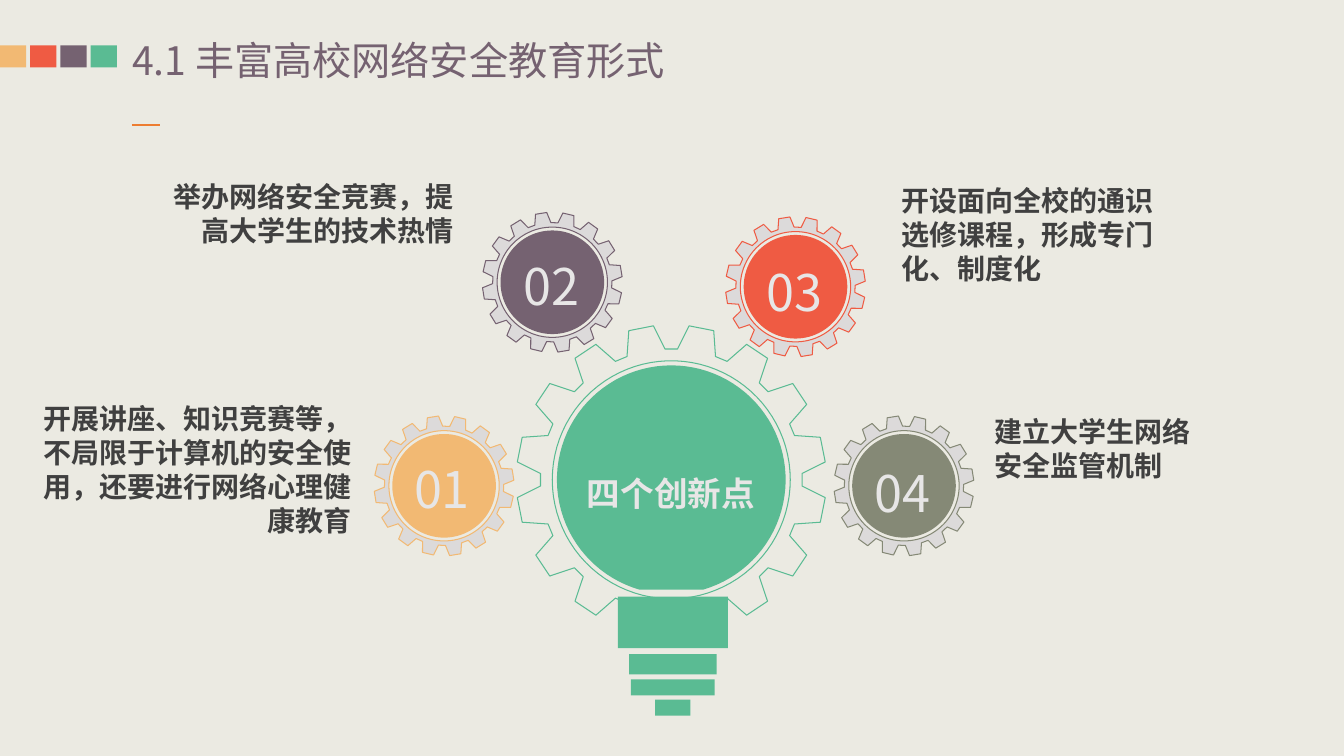
from dataclasses import dataclass
from math import asin, cos, pi, radians, sin

from lxml.etree import SubElement
from pptx import Presentation
from pptx.dml.color import RGBColor
from pptx.enum.shapes import MSO_CONNECTOR as Connector, MSO_SHAPE as Preset
from pptx.enum.text import MSO_ANCHOR as Anchor, MSO_AUTO_SIZE as AutoSize, PP_ALIGN as Align
from pptx.oxml.ns import qn
from pptx.util import Pt

CREAM = RGBColor(0xEB, 0xEA, 0xE2)
AMBER = RGBColor(0xF2, 0xB9, 0x73)
CORAL = RGBColor(0xEF, 0x5B, 0x43)
PLUM = RGBColor(0x75, 0x62, 0x71)
GREEN = RGBColor(0x5A, 0xBB, 0x93)
OLIVE = RGBColor(0x85, 0x89, 0x76)
ORANGE = RGBColor(0xED, 0x7D, 0x31)
SILVER = RGBColor(0xDC, 0xDA, 0xDA)
PALE = RGBColor(0xE7, 0xE6, 0xE6)
CHARCOAL = RGBColor(0x40, 0x40, 0x40)

FONT = "Noto Sans CJK SC"
LINE_RATIO = 1.21  # line pitch over text size
TOP_RATIO = 0.09  # extra top inset over text size
TEETH = 16

Point = tuple[float, float]


@dataclass(frozen=True)
class Box:
    left: float
    top: float
    width: float
    height: float

    def lengths(self) -> tuple[Pt, ...]:
        return Pt(self.left), Pt(self.top), Pt(self.width), Pt(self.height)

    def corners(self) -> list[Point]:
        right, bottom = self.left + self.width, self.top + self.height
        return [(self.left, self.top), (right, self.top), (right, bottom), (self.left, bottom)]


@dataclass(frozen=True)
class Gear:
    x: float
    y: float
    outer: float
    root: float
    bore: float
    phase: float  # degrees, middle of one tooth
    root_half: float  # degrees, half a tooth at its root


@dataclass(frozen=True)
class Step:
    number: str
    color: RGBColor
    x: float
    y: float
    number_left: float
    number_top: float
    caption: str
    caption_box: Box
    align: Align


@dataclass(frozen=True)
class TextStyle:
    size: float
    color: RGBColor
    align: Align = Align.LEFT
    bold: bool = False
    spacing: float = 1
    inset: float = 3.6
    wrap: bool = True


STEPS = [
    Step("01", AMBER, 317.2, 347, 287.3, 319.7,
         "开展讲座、知识竞赛等，不局限于计算机的安全使用，还要进行网络心理健康教育",
         Box(22.3, 281.5, 236.2, 104.4), Align.RIGHT),
    Step("02", PLUM, 394.5, 201.6, 365.8, 175,
         "举办网络安全竞赛，提高大学生的技术热情",
         Box(114.5, 122.4, 216.7, 55.4), Align.RIGHT),
    Step("03", CORAL, 568.2, 204.8, 539.3, 179.3,
         "开设面向全校的通识选修课程，形成专门化、制度化",
         Box(636.5, 125.3, 195.8, 79.9), Align.LEFT),
    Step("04", OLIVE, 645.7, 347, 616.3, 322.6,
         "建立大学生网络安全监管机制",
         Box(703.4, 290.2, 174.2, 55.4), Align.LEFT),
]
BULB_GEAR = Gear(479.5, 342.7, 110.7, 93.5, 85, 78.75, 8.5)
BULB_RADIUS, BULB_CUT = 81.7, 78.5
BULB_BASE = [
    Box(441.4, 426.2, 78.5, 36.8), Box(449.3, 467.3, 62.6, 14.4),
    Box(450.7, 485.3, 59.8, 11.5), Box(468, 499.7, 25.2, 11.5),
]


def on_circle(x: float, y: float, radius: float, angle: float) -> Point:
    return x + radius * cos(angle), y + radius * sin(angle)


def arc(x: float, y: float, radius: float, start: float, sweep: float) -> list[Point]:
    return [on_circle(x, y, radius, start + sweep * i / 90) for i in range(91)]


def paint(shape, fill: RGBColor | None, line: RGBColor | None = None) -> None:
    shape.shadow.inherit = False
    if fill is None:
        shape.fill.background()
    else:
        shape.fill.solid()
        shape.fill.fore_color.rgb = fill
    if line is None:
        shape.line.fill.background()
    else:
        shape.line.color.rgb = line
        shape.line.width = Pt(0.75)


def add_outline(shapes, contours: list[list[Point]], fill: RGBColor | None,
                line: RGBColor | None = None) -> None:
    builder = None
    for contour in contours:
        first, *rest = [(Pt(x), Pt(y)) for x, y in contour]
        if builder is None:
            builder = shapes.build_freeform(*first, scale=1.0)
        else:
            builder.move_to(*first)
        builder.add_line_segments(rest, close=True)
    paint(builder.convert_to_shape(), fill, line)


def add_gear(shapes, gear: Gear, fill: RGBColor | None, line: RGBColor) -> None:
    profile = [(gear.root, -gear.root_half), (gear.outer, -4.65),
               (gear.outer, 4.65), (gear.root, gear.root_half)]
    rim = [on_circle(gear.x, gear.y, radius, radians(gear.phase + 360 / TEETH * tooth + turn))
           for tooth in range(TEETH) for radius, turn in profile]
    add_outline(shapes, [rim, arc(gear.x, gear.y, gear.bore, 0, -2 * pi)], fill, line)


def write(frame, text: str, style: TextStyle) -> None:
    frame.auto_size = AutoSize.NONE
    frame.word_wrap = style.wrap
    frame.vertical_anchor = Anchor.TOP
    frame.margin_left = frame.margin_right = Pt(2 * style.inset)
    frame.margin_top = Pt(style.inset + TOP_RATIO * style.size)
    frame.margin_bottom = Pt(style.inset)
    para = frame.paragraphs[0]
    para.alignment = style.align
    para.space_before = Pt(0)
    para.line_spacing = Pt(round(style.size * LINE_RATIO * style.spacing, 1))
    span = para.add_run()
    span.text = text
    span.font.size = Pt(style.size)
    span.font.bold = style.bold
    span.font.color.rgb = style.color
    span.font.name = FONT
    SubElement(span._r.get_or_add_rPr(), qn("a:ea"), typeface=FONT)


def add_text(shapes, box: Box, text: str, style: TextStyle) -> None:
    write(shapes.add_textbox(*box.lengths()).text_frame, text, style)


def add_header(page) -> None:
    title = page.shapes.title
    title.left, title.top, title.width, title.height = Box(94.3, 23, 470.2, 33.8).lengths()
    write(title.text_frame, "4.1 丰富高校网络安全教育形式", TextStyle(28, PLUM, inset=0))
    swatches = page.shapes.add_group_shape().shapes
    for i, color in enumerate([AMBER, CORAL, PLUM, GREEN]):
        box = Box(21.6 * i, 32.4, 18.7, 15.8)
        paint(swatches.add_shape(Preset.RECTANGLE, *box.lengths()), color)
    dash = page.shapes.add_connector(Connector.STRAIGHT, Pt(94.3), Pt(89.3), Pt(114.5), Pt(89.3))
    dash.line.color.rgb = ORANGE
    dash.line.width = Pt(1.5)
    SubElement(dash._element.spPr, qn("a:effectLst"))


def add_bulb(page) -> None:
    shapes = page.shapes.add_group_shape().shapes
    add_gear(shapes, BULB_GEAR, None, GREEN)
    add_outline(shapes, [part.corners() for part in BULB_BASE], GREEN)
    cut = asin(BULB_CUT / BULB_RADIUS)
    glass = arc(BULB_GEAR.x, BULB_GEAR.y, BULB_RADIUS, pi - cut, pi + 2 * cut)
    add_outline(shapes, [glass], GREEN)
    add_text(shapes, Box(411.1, 317.5, 136.1, 46.1), "四个创新点",
             TextStyle(24, PALE, Align.CENTER, bold=True, spacing=1.5))


def add_step(page, step: Step) -> None:
    add_text(page.shapes, step.caption_box, step.caption,
             TextStyle(20, CHARCOAL, step.align, bold=True))
    shapes = page.shapes.add_group_shape().shapes
    add_gear(shapes, Gear(step.x, step.y, 50, 42.6, 39.4, 80.8, 7.85), SILVER, step.color)
    disc = Box(step.x - 37, step.y - 37, 74, 74)
    paint(shapes.add_shape(Preset.OVAL, *disc.lengths()), step.color)
    add_text(shapes, Box(step.number_left, step.number_top, 56.9, 51.1), step.number,
             TextStyle(36, PALE, Align.CENTER, wrap=False))


def main() -> None:
    deck = Presentation()
    deck.slide_width, deck.slide_height = Pt(960), Pt(540)
    page = deck.slides.add_slide(deck.slide_layouts.get_by_name("Title Only"))
    page.background.fill.solid()
    page.background.fill.fore_color.rgb = CREAM
    add_header(page)
    add_bulb(page)
    for step in STEPS:
        add_step(page, step)
    deck.save("out.pptx")


if __name__ == "__main__":
    main()
